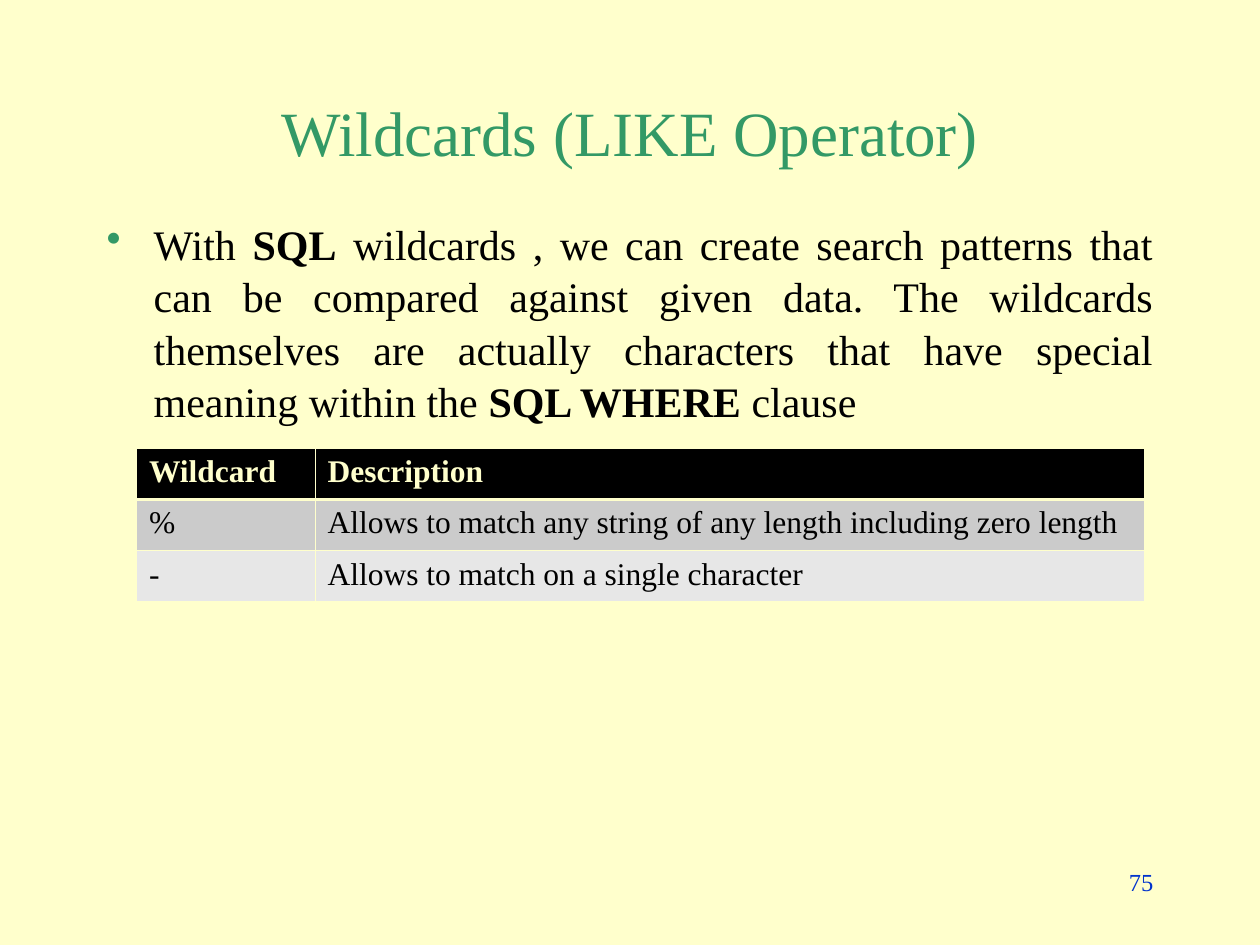
from dataclasses import dataclass

from lxml.etree import SubElement
from pptx import Presentation
from pptx.dml.color import RGBColor as Color
from pptx.enum.text import MSO_ANCHOR as Anchor, PP_ALIGN as Align
from pptx.oxml.ns import qn
from pptx.util import Cm, Pt


@dataclass(frozen=True)
class Theme:
    font: str = "Times New Roman"
    background: str = "FFFFCC"
    accent: str = "339966"
    text: str = "000000"
    number: str = "0033CC"
    header_fill: str = "000000"
    row_fills: tuple = ("CBCBCB", "E7E7E7")
    title_size: int = 36
    body_size: int = 24
    table_size: int = 18
    number_size: int = 14
    thin: float = 0.45
    thick: float = 1.47


theme = Theme()


def add_run(paragraph, text, size, color, bold=False):
    run = paragraph.add_run()
    run.text = text
    run.font.name = theme.font
    run.font.size = Pt(size)
    run.font.bold = bold
    run.font.color.rgb = Color.from_string(color)


def add_text_box(left, top, width, height, align, anchor=Anchor.TOP):
    frame = slide.shapes.add_textbox(Cm(left), Cm(top), Cm(width), Cm(height)).text_frame
    frame.word_wrap = True
    frame.vertical_anchor = anchor
    frame.paragraphs[0].alignment = align
    return frame.paragraphs[0]


presentation = Presentation()
presentation.slide_width = Cm(25.4)
presentation.slide_height = Cm(19.05)
slide = presentation.slides.add_slide(presentation.slide_layouts[6])
slide.background.fill.solid()
slide.background.fill.fore_color.rgb = Color.from_string(theme.background)

# Title
title = add_text_box(1.9, 1.7, 21.6, 1.9, Align.CENTER, Anchor.MIDDLE)
add_run(title, "Wildcards (LIKE Operator)", theme.title_size, theme.accent)

# Bulleted explanation
body = add_text_box(1.9, 4.24, 21.6, 12.7, Align.JUSTIFY)
body.line_spacing = 1.04
properties = body._p.get_or_add_pPr()
properties.set("marL", str(Cm(0.95)))
properties.set("indent", str(Cm(-0.95)))
bullet_color = SubElement(properties, qn("a:buClr"))
SubElement(bullet_color, qn("a:srgbClr"), val=theme.accent)
SubElement(properties, qn("a:buChar"), char="•")
for text, bold in [
    ("With ", False),
    ("SQL", True),
    (" wildcards , we can create search patterns that can be compared against "
     "given data. The wildcards themselves are actually characters that have "
     "special meaning within the ", False),
    ("SQL WHERE ", True),
    ("clause", False),
]:
    add_run(body, text, theme.body_size, theme.text, bold)

# Wildcard table
rows = [
    ("Wildcard", "Description"),
    ("%", "Allows to match any string of any length including zero length"),
    ("-", "Allows to match on a single character"),
]
table = slide.shapes.add_table(len(rows), 2, Cm(2.75), Cm(9.04), Cm(20.32), Cm(3.09)).table
for column, width in zip(table.columns, (3.6, 16.72)):
    column.width = Cm(width)
for row_index, texts in enumerate(rows):
    table.rows[row_index].height = Cm(1.03)
    header = row_index == 0
    fill = theme.header_fill if header else theme.row_fills[row_index - 1]
    color = theme.background if header else theme.text
    borders = {
        "L": theme.thin,
        "R": theme.thin,
        "T": theme.thick if row_index == 1 else theme.thin,
        "B": theme.thick if header else theme.thin,
    }
    for column_index, text in enumerate(texts):
        cell = table.cell(row_index, column_index)
        cell_properties = cell._tc.get_or_add_tcPr()
        for side, weight in borders.items():
            line = SubElement(cell_properties, qn(f"a:ln{side}"), w=str(Pt(weight)))
            line_fill = SubElement(line, qn("a:solidFill"))
            SubElement(line_fill, qn("a:srgbClr"), val=theme.background)
        cell.fill.solid()
        cell.fill.fore_color.rgb = Color.from_string(fill)
        add_run(cell.text_frame.paragraphs[0], text, theme.table_size, color, header)

# Slide number
number = add_text_box(18.21, 17.35, 5.29, 1.27, Align.RIGHT)
add_run(number, "75", theme.number_size, theme.number)

presentation.save("out.pptx")
